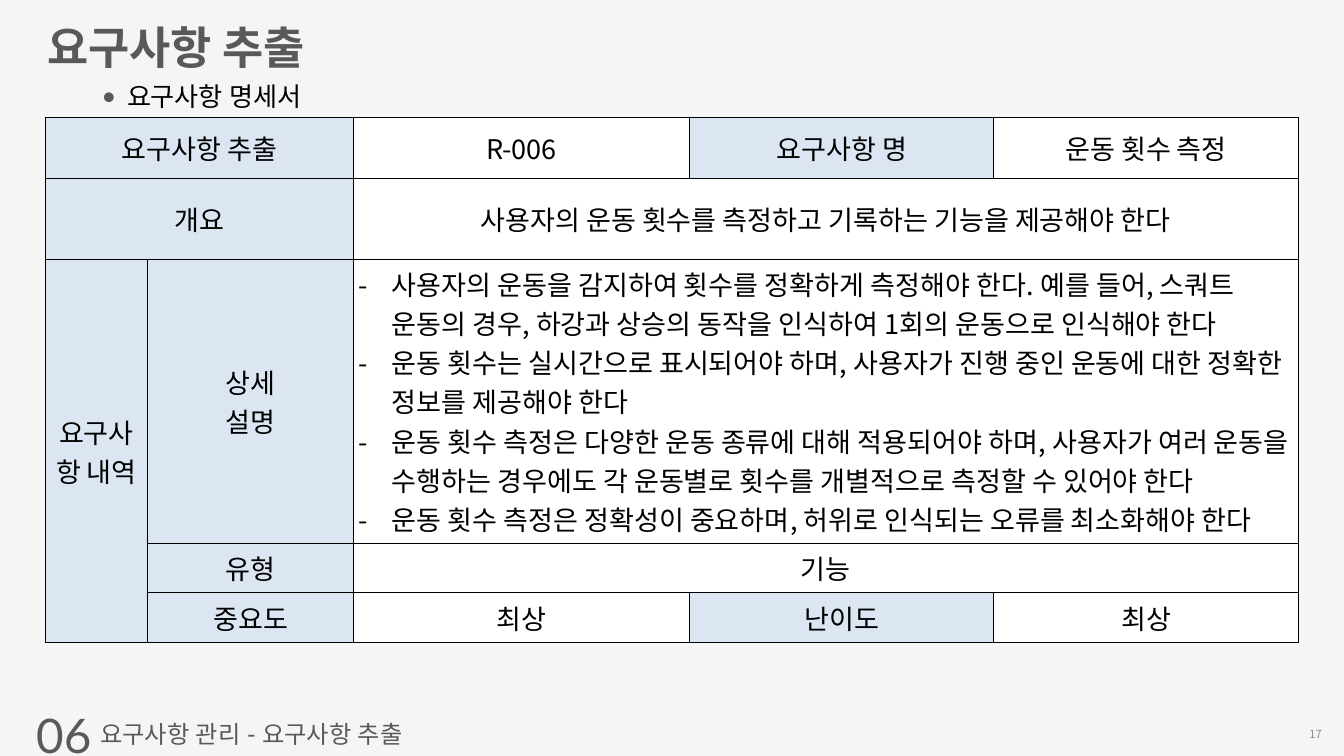
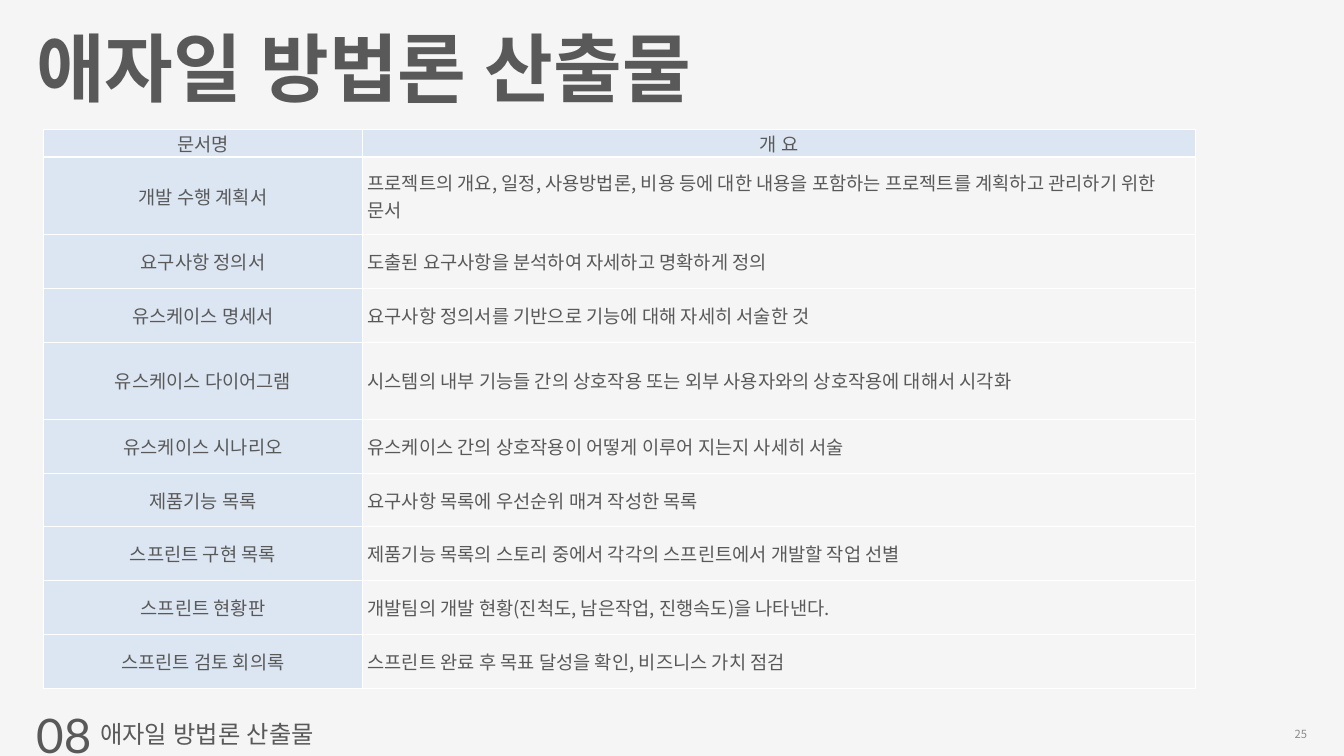
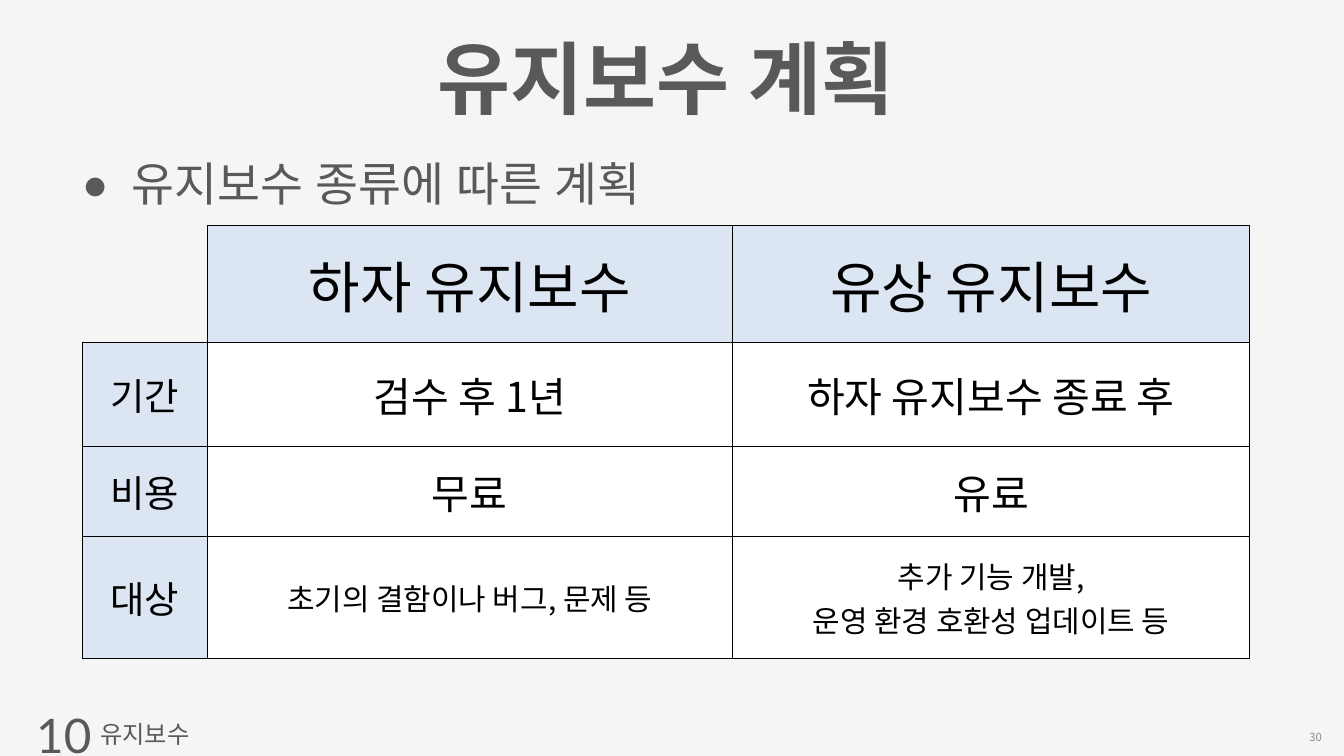
from pptx import Presentation
from pptx.dml.color import RGBColor
from pptx.enum.text import MSO_ANCHOR as Anchor, MSO_AUTO_SIZE as AutoSize, PP_ALIGN as Align
from pptx.oxml.ns import qn
from pptx.util import Inches, Pt
from lxml.etree import SubElement

# Shared style
LATO, NOTO = "Lato", "Noto Sans CJK KR"
GRAY, BLACK, WHITE = "595959", "000000", "FFFFFF"
PAPER, LABEL, PALE = "F5F5F5", "DCE6F2", "8C8C8C"
COLUMNS, ROWS = 20, 11.25
LEFT, UP = "<", "^"  # table marks: cell belongs to its left or upper neighbour


def color(code):
    return RGBColor.from_string(code)


def assign(target, values):
    for name, value in values.items():
        setattr(target, name, value)


def add_color(parent, tag, code):
    SubElement(SubElement(parent, qn(tag)), qn("a:srgbClr"), val=code)


def merge_length(cells, mark):
    """Count a cell plus the marked cells that follow it."""
    length = 1
    while length < len(cells) and cells[length] == mark:
        length += 1
    return length


class Builder:
    def __init__(self):
        self.deck = Presentation()
        self.deck.slide_width, self.deck.slide_height = Inches(20), Inches(11.25)
        background = self.deck.slide_master.background.fill
        background.solid()
        background.fore_color.rgb = color(PAPER)
        self.page = None

    def col(self, count):
        return round(self.deck.slide_width * count / COLUMNS)

    def row(self, count):
        return round(self.deck.slide_height * count / ROWS)

    def place(self, box, left, top, width, height):
        assign(box, {"left": self.col(left), "top": self.row(top),
                     "width": self.col(width), "height": self.row(height)})

    def add_span(self, para, text, size, face, ink, bold=False, align=Align.LEFT, asian=LATO):
        assign(para, {"alignment": align, "space_before": Pt(0)})
        span = para.add_run()
        span.text = text
        assign(span.font, {"size": Pt(size), "bold": bold, "name": face})
        span.font.color.rgb = color(ink)
        SubElement(span.font._element, qn("a:ea"), typeface=asian)

    def bullet(self, para, mark, margin, hang, ink, face, percent=100):
        props = para._p.get_or_add_pPr()
        props.set("marL", str(self.col(margin)))
        props.set("indent", str(-self.col(hang)))
        add_color(props, "a:buClr", ink)
        SubElement(props, qn("a:buSzPct"), val=str(percent * 1000))
        SubElement(props, qn("a:buFont"), typeface=face)
        SubElement(props, qn("a:buChar"), char=mark)

    def frame(self, box, at, anchor=Anchor.TOP):
        self.place(box, *at)
        assign(box.text_frame, {"word_wrap": True, "auto_size": AutoSize.NONE,
                                "vertical_anchor": anchor})
        return box.text_frame.paragraphs[0]

    def text(self, at, text, size, face=LATO, ink=GRAY, anchor=Anchor.TOP, align=Align.LEFT):
        box = self.page.shapes.add_textbox(0, 0, 0, 0)
        self.add_span(self.frame(box, at, anchor), text, size, face, ink, align=align)

    def start(self, layout, number, section, page_number, number_at=(17.44, 10.73)):
        """Begin a page with its footer."""
        self.page = self.deck.slides.add_slide(self.deck.slide_layouts[layout])
        self.text((0.44, 10.45, 1.2, 0.96), number, 51)
        self.text((1.39, 10.66, 5.5, 0.54), section, 26)
        self.text((*number_at, 2.33, 0.4), page_number, 12, NOTO, PALE, Anchor.MIDDLE, Align.RIGHT)

    def title(self, at, text, size, face=NOTO, align=Align.LEFT):
        para = self.frame(self.page.shapes.title, at)
        self.add_span(para, text, size, face, GRAY, True, align)

    def lead(self, at, text, size, face, ink, margin, hang, percent=100):
        para = self.frame(self.page.placeholders[1], at)
        self.bullet(para, "•", margin, hang, GRAY, LATO, percent)
        self.add_span(para, text, size, face, ink)

    def borders(self, cell, ink, widths):
        props = cell._tc.get_or_add_tcPr()
        for side, width in zip("LRTB", widths):
            line = SubElement(props, qn("a:ln" + side), w=str(int(Pt(width))))
            if width:
                add_color(line, "a:solidFill", ink)
            else:
                SubElement(line, qn("a:noFill"))

    def table(self, at, widths, heights, content, is_label, size_of, is_left=lambda r, c: False,
              ink=BLACK, line=BLACK, fill=WHITE, pad=(0.07, 0.02), head_line=1):
        shape = self.page.shapes.add_table(len(heights), len(widths), 0, 0, 0, 0)
        self.place(shape, *at, sum(widths), sum(heights))
        grid = shape.table
        assign(grid, {"first_row": False, "horz_banding": False})
        for column, width in zip(grid.columns, widths):
            column.width = self.col(width)
        for grid_row, height in zip(grid.rows, heights):
            grid_row.height = self.row(height)
        for r, texts in enumerate(content):
            for c, text in enumerate(texts):
                cell = grid.cell(r, c)
                assign(cell, {"margin_left": self.col(pad[0]), "margin_right": self.col(pad[0]),
                              "margin_top": self.row(pad[1]), "margin_bottom": self.row(pad[1]),
                              "vertical_anchor": Anchor.MIDDLE})
                bottom = 1 if r else head_line
                self.borders(cell, line, (1, 1, 1, bottom) if text else (0, 1, 0, 1))
                shade = LABEL if is_label(r, c) else fill
                if text and shade:
                    cell.fill.solid()
                    cell.fill.fore_color.rgb = color(shade)
                else:
                    cell.fill.background()
                if text in ("", LEFT, UP):
                    continue
                across = merge_length(texts[c:], LEFT)
                down = merge_length([other[c] for other in content[r:]], UP)
                if across * down > 1:
                    cell.merge(grid.cell(r + down - 1, c + across - 1))
                self.fill_cell(cell, text, size_of(r, c), ink, is_left(r, c))

    def fill_cell(self, cell, text, size, ink, left):
        listed = isinstance(text, list)
        frame = cell.text_frame
        for index, part in enumerate(text if listed else text.split("\n")):
            para = frame.add_paragraph() if index else frame.paragraphs[0]
            if listed:
                self.bullet(para, "-", 0.5, 0.5, ink, NOTO)
            align = Align.LEFT if left or listed else Align.CENTER
            self.add_span(para, part, size, NOTO, ink, align=align, asian=NOTO)


# Requirement specification
def requirement_page(build):
    build.start(1, "06", "요구사항 관리 - 요구사항 추출", "17")
    build.title((0.6, 0.24, 18.02, 0.91), "요구사항 추출", 48)
    build.lead((1.24, 1.14, 5.65, 0.57), "요구사항 명세서", 28, NOTO, BLACK, 0.55, 0.38)
    details = [
        "사용자의 운동을 감지하여 횟수를 정확하게 측정해야 한다. 예를 들어, 스쿼트 운동의 경우, "
        "하강과 상승의 동작을 인식하여 1회의 운동으로 인식해야 한다",
        "운동 횟수는 실시간으로 표시되어야 하며, 사용자가 진행 중인 운동에 대한 정확한 정보를 제공해야 한다",
        "운동 횟수 측정은 다양한 운동 종류에 대해 적용되어야 하며, 사용자가 여러 운동을 수행하는 "
        "경우에도 각 운동별로 횟수를 개별적으로 측정할 수 있어야 한다",
        "운동 횟수 측정은 정확성이 중요하며, 허위로 인식되는 오류를 최소화해야 한다",
    ]
    content = [
        ["요구사항 추출", LEFT, "R-006", "요구사항 명", "운동 횟수 측정"],
        ["개요", LEFT, "사용자의 운동 횟수를 측정하고 기록하는 기능을 제공해야 한다", LEFT, LEFT],
        ["요구사항 내역", "상세\n설명", details, LEFT, LEFT],
        [UP, "유형", "기능", LEFT, LEFT],
        [UP, "중요도", "최상", "난이도", "최상"],
    ]
    build.table((0.67, 1.74), [1.53, 3.06, 5, 4.53, 4.53], [0.91, 1.21, 4.22, 0.74, 0.74], content,
                is_label=lambda r, c: c < 2 or (c == 3 and r in (0, 4)),
                size_of=lambda r, c: 29)


# Documents of the method
def document_page(build):
    build.start(5, "08", "애자일 방법론 산출물", "25", (17.22, 10.73))
    build.title((0.44, 0.28, 19.22, 1.45), "애자일 방법론 산출물", 80)
    content = [
        ["문서명", "개 요"],
        ["개발 수행 계획서",
         "프로젝트의 개요, 일정, 사용방법론, 비용 등에 대한 내용을 포함하는 프로젝트를 계획하고 관리하기 위한 문서"],
        ["요구사항 정의서", "도출된 요구사항을 분석하여 자세하고 명확하게 정의"],
        ["유스케이스 명세서", "요구사항 정의서를 기반으로 기능에 대해 자세히 서술한 것"],
        ["유스케이스 다이어그램", "시스템의 내부 기능들 간의 상호작용 또는 외부 사용자와의 상호작용에 대해서 시각화"],
        ["유스케이스 시나리오", "유스케이스 간의 상호작용이 어떻게 이루어 지는지 사세히 서술"],
        ["제품기능 목록", "요구사항 목록에 우선순위 매겨 작성한 목록"],
        ["스프린트 구현 목록", "제품기능 목록의 스토리 중에서 각각의 스프린트에서 개발할 작업 선별"],
        ["스프린트 현황판", "개발팀의 개발 현황(진척도, 남은작업, 진행속도)을 나타낸다."],
        ["스프린트 검토 회의록", "스프린트 완료 후 목표 달성을 확인, 비즈니스 가치 점검"],
    ]
    heights = [0.41] + [1.15 if r in (1, 4) else 0.8 for r in range(1, len(content))]
    build.table((0.64, 1.93), [4.76, 12.39], heights, content,
                is_label=lambda r, c: r == 0 or c == 0, size_of=lambda r, c: 20,
                is_left=lambda r, c: r > 0 and c == 1,
                ink=GRAY, line=WHITE, fill=None, pad=(0.07, 0), head_line=3)


# Maintenance plan
def maintenance_page(build):
    build.start(1, "10", "유지보수", "30", (17.44, 10.77))
    build.title((1.6, 0.38, 16.62, 1.53), "유지보수 계획", 85, LATO, Align.CENTER)
    build.lead((0.55, 2.26, 9.72, 1), "유지보수 종류에 따른 계획", 50, LATO, GRAY, 1.31, 0.76, 108)
    content = [
        ["", "하자 유지보수", "유상 유지보수"],
        ["기간", "검수 후 1년", "하자 유지보수 종료 후"],
        ["비용", "무료", "유료"],
        ["대상", "초기의 결함이나 버그, 문제 등", "추가 기능 개발,\n운영 환경 호환성 업데이트 등"],
    ]
    row_sizes = [60, 44, 44, 32]
    build.table((1.23, 3.36), [1.85, 7.82, 7.7], [1.73, 1.55, 1.34, 1.82], content,
                is_label=lambda r, c: r == 0 or c == 0,
                size_of=lambda r, c: row_sizes[r] if c else 40, pad=(0.1, 0.05))


def main():
    build = Builder()
    requirement_page(build)
    document_page(build)
    maintenance_page(build)
    build.deck.save("out.pptx")


if __name__ == "__main__":
    main()
